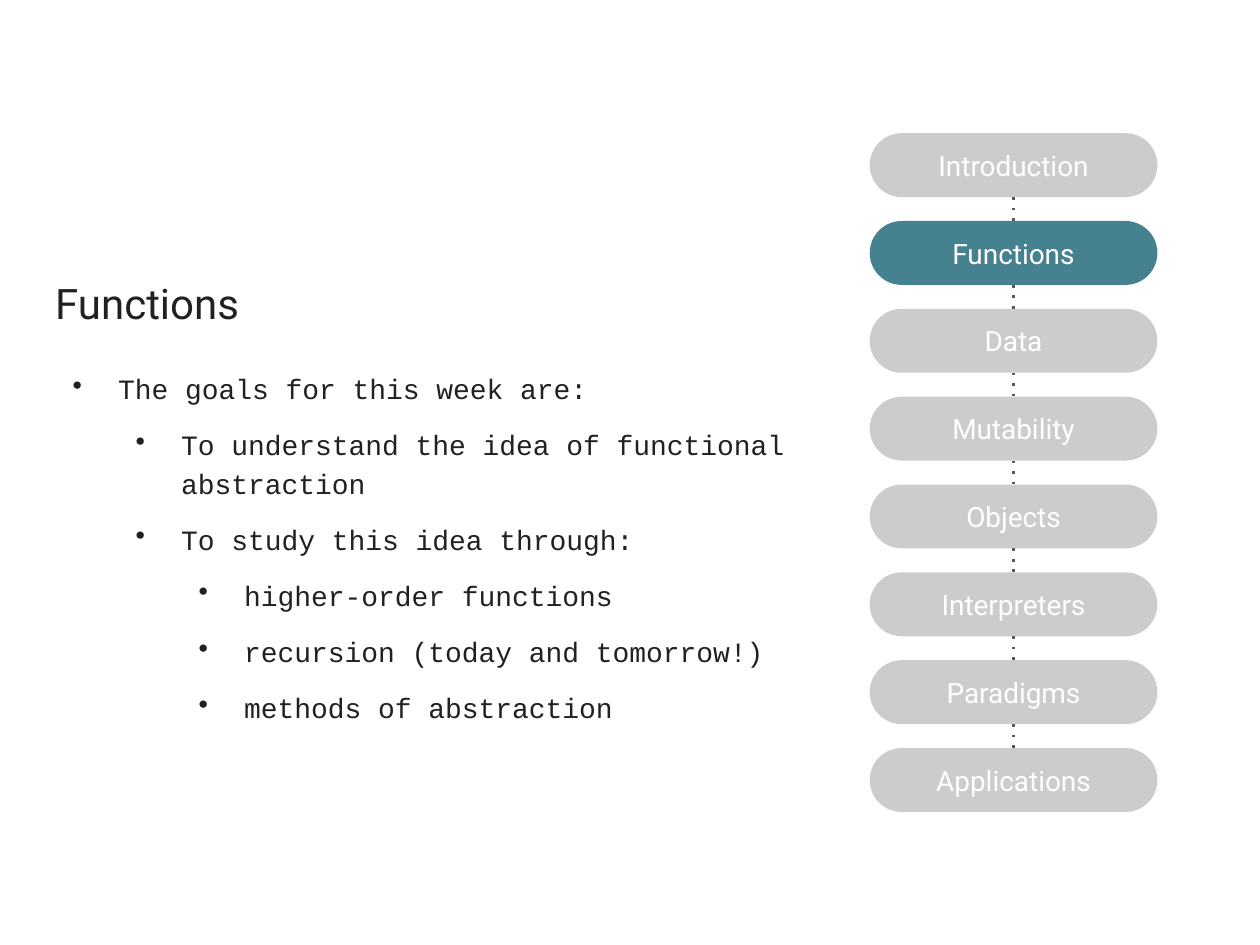
from lxml.etree import SubElement
from pptx import Presentation
from pptx.dml.color import RGBColor
from pptx.enum.shapes import MSO_CONNECTOR, MSO_SHAPE
from pptx.enum.text import MSO_ANCHOR as Anchor, PP_ALIGN as Align
from pptx.oxml.ns import qn
from pptx.util import Pt


def color(hex_text):
    return RGBColor.from_string(hex_text)


class SlideBuilder:
    HEADING_FONT, BODY_FONT = "Roboto", "Courier New"
    INK, WHITE, GREY, TEAL, LINE = "212121", "FFFFFF", "CCCCCC", "45818E", "595959"
    INSET = 7.2

    def __init__(self, slide):
        self.slide = slide

    def set_frame(self, shape, anchor):
        frame = shape.text_frame
        frame.word_wrap = True
        frame.vertical_anchor = anchor
        frame.margin_left = frame.margin_right = Pt(self.INSET)
        frame.margin_top = frame.margin_bottom = Pt(self.INSET)
        return frame

    def set_font(self, paragraph, name, size, hex_text):
        paragraph.font.name = name
        paragraph.font.size = Pt(size)
        paragraph.font.color.rgb = color(hex_text)

    def add_text_box(self, left, top, width, height, anchor):
        box = self.slide.shapes.add_textbox(Pt(left), Pt(top), Pt(width), Pt(height))
        return self.set_frame(box, anchor)

    def add_title(self, text, *bounds):
        paragraph = self.add_text_box(*bounds, Anchor.BOTTOM).paragraphs[0]
        paragraph.text = text
        self.set_font(paragraph, self.HEADING_FONT, 24, self.INK)

    def add_bullets(self, items, *bounds):
        frame = self.add_text_box(*bounds, Anchor.TOP)
        for index, (level, text) in enumerate(items):
            paragraph = frame.add_paragraph() if index else frame.paragraphs[0]
            paragraph.text = text
            paragraph.level = level
            paragraph.line_spacing = 1.15
            paragraph.space_before = Pt(10 if index else 0)
            paragraph.space_after = Pt(10 if index == len(items) - 1 else 0)
            self.add_bullet_mark(paragraph, 36 * (level + 1))
            self.set_font(paragraph, self.BODY_FONT, 16, self.INK)

    def add_bullet_mark(self, paragraph, margin):
        properties = paragraph._p.get_or_add_pPr()
        properties.set("marL", str(Pt(margin)))
        properties.set("indent", str(Pt(-26)))
        bullet_color = SubElement(properties, qn("a:buClr"))
        SubElement(bullet_color, qn("a:srgbClr"), val=self.INK)
        SubElement(properties, qn("a:buChar"), char="•")

    def add_pill(self, text, fill, *bounds):
        pill = self.slide.shapes.add_shape(MSO_SHAPE.ROUNDED_RECTANGLE, *map(Pt, bounds))
        pill.adjustments[0] = 0.5
        pill.shadow.inherit = False
        pill.fill.solid()
        pill.fill.fore_color.rgb = color(fill)
        pill.line.fill.background()
        paragraph = self.set_frame(pill, Anchor.MIDDLE).paragraphs[0]
        paragraph.text = text
        paragraph.alignment = Align.CENTER
        self.set_font(paragraph, self.HEADING_FONT, 16, self.WHITE)
        return pill

    def add_dotted_link(self, upper, lower):
        link = self.slide.shapes.add_connector(MSO_CONNECTOR.STRAIGHT, 0, 0, 0, 0)
        link.begin_connect(upper, 2)
        link.end_connect(lower, 0)
        link.line.width = Pt(1.5)
        link.line.color.rgb = color(self.LINE)
        properties = link._element.spPr
        SubElement(properties.find(qn("a:ln")), qn("a:prstDash"), val="dot")
        SubElement(properties, qn("a:effectLst"))


def main():
    presentation = Presentation()
    presentation.slide_width, presentation.slide_height = Pt(720), Pt(540)
    builder = SlideBuilder(presentation.slides.add_slide(presentation.slide_layouts[6]))

    # Title and goals
    builder.add_title("Functions", 24.5, 115.2, 273.6, 79.2)
    builder.add_bullets([
        (0, "The goals for this week are:"),
        (1, "To understand the idea of functional abstraction"),
        (1, "To study this idea through:"),
        (2, "higher-order functions"),
        (2, "recursion (today and tomorrow!)"),
        (2, "methods of abstraction"),
    ], 24.5, 202.3, 444.2, 222.5)

    # Course roadmap with the current topic highlighted
    topics = ["Introduction", "Functions", "Data", "Mutability",
              "Objects", "Interpreters", "Paradigms", "Applications"]
    current, first_top, pitch = "Functions", 76.1, 50.2
    pills = [
        builder.add_pill(topic, builder.TEAL if topic == current else builder.GREY,
                         497, first_top + pitch * row, 164.4, 36.5)
        for row, topic in enumerate(topics)
    ]
    for upper, lower in zip(pills, pills[1:]):
        builder.add_dotted_link(upper, lower)

    presentation.save("out.pptx")


if __name__ == "__main__":
    main()
